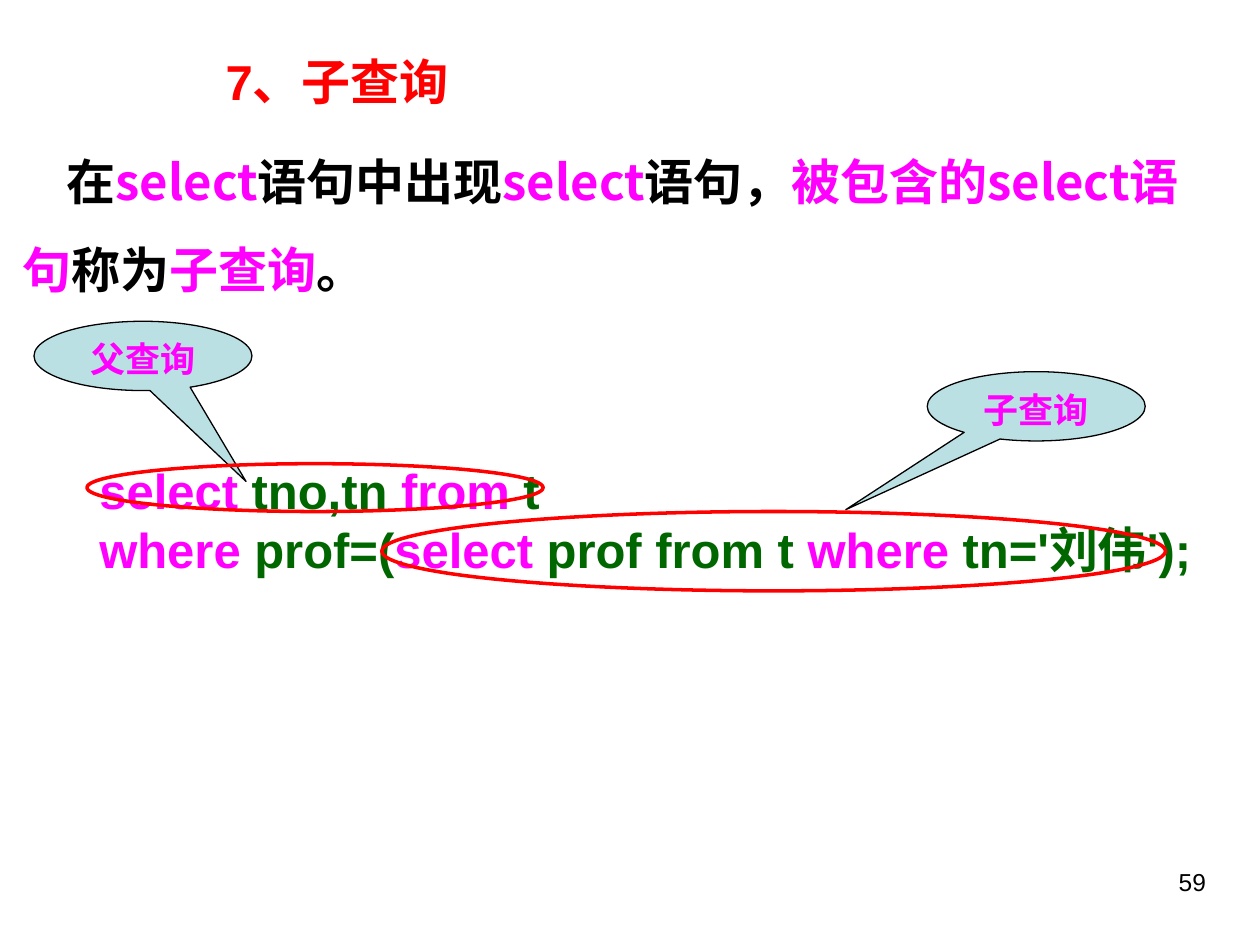
"""Build the slide that introduces SQL subqueries."""
from dataclasses import dataclass

from lxml import etree
from pptx import Presentation
from pptx.dml.color import RGBColor
from pptx.enum.shapes import MSO_SHAPE
from pptx.enum.text import MSO_ANCHOR, MSO_AUTO_SIZE, PP_ALIGN
from pptx.oxml.ns import qn
from pptx.util import Inches, Pt

ELLIPSE, CALLOUT = MSO_SHAPE.OVAL, MSO_SHAPE.OVAL_CALLOUT
LEFT, CENTER, RIGHT = PP_ALIGN.LEFT, PP_ALIGN.CENTER, PP_ALIGN.RIGHT
TOP, MIDDLE = MSO_ANCHOR.TOP, MSO_ANCHOR.MIDDLE


@dataclass(frozen=True)
class Theme:
    """Colours, fonts and type sizes of the slide."""
    black: str = "000000"
    red: str = "FF0000"
    keyword: str = "FF00FF"
    code: str = "006600"
    callout: str = "BBE0E3"
    latin: str = "Arial"
    chinese: str = "Noto Sans CJK SC"
    text_size: int = 28
    label_size: int = 20
    number_size: int = 14


THEME = Theme()
SLIDE_SIZE = (10, 7.5)
CALLOUT_SIZE = (1.73, 0.55)
FIRST_LINE_INDENT = 0.35

TITLE = [[("7、子查询", THEME.red)]]
DEFINITION = [[
    ("在", THEME.black), ("select", THEME.keyword),
    ("语句中出现", THEME.black), ("select", THEME.keyword),
    ("语句，", THEME.black), ("被包含的select语句", THEME.keyword),
    ("称为", THEME.black), ("子查询", THEME.keyword), ("。", THEME.black),
]]
QUERY = [
    [("select", THEME.keyword), (" tno,tn ", THEME.code),
     ("from", THEME.keyword), (" t", THEME.code)],
    [("where", THEME.keyword), (" prof=(", THEME.code),
     ("select", THEME.keyword), (" prof from t ", THEME.code),
     ("where", THEME.keyword), (" tn='刘伟');", THEME.code)],
]
PAGE_NUMBER = [[("59", THEME.black)]]

TITLE_BOX = (1.69, 0.36, 4.1, 0.57)
DEFINITION_BOX = (0.08, 0.92, 9.73, 1.5)
QUERY_BOX = (0.69, 3.6, 9.11, 1.04)
NUMBER_BOX = (7.17, 6.83, 2.5, 0.52)
SUBQUERY_RING = (3.03, 4.06, 6.22, 0.63)
PARENT_RING = (0.69, 3.68, 3.62, 0.38)
CALLOUTS = [
    ("子查询", (7.36, 2.95), (-0.874, 1.491)),
    ("父查询", (0.27, 2.55), (0.473, 1.812)),
]


def inches(box):
    return [Inches(length) for length in box]


def place(shape, box):
    shape.left, shape.top, shape.width, shape.height = inches(box)


def write(shape, lines, size=THEME.text_size, latin=THEME.latin, bold=True,
          align=LEFT, anchor=MIDDLE, spacing=1.0, indent=0):
    frame = shape.text_frame
    frame.word_wrap = True
    frame.auto_size = MSO_AUTO_SIZE.NONE
    frame.vertical_anchor = anchor
    for index, line in enumerate(lines):
        paragraph = frame.add_paragraph() if index else frame.paragraphs[0]
        paragraph.alignment = align
        paragraph.line_spacing = spacing
        paragraph.space_before = Pt(0)
        properties = paragraph._p.get_or_add_pPr()
        properties.set("marL", "0")
        properties.set("indent", str(Inches(indent)))
        etree.SubElement(properties, qn("a:buNone"))
        font = paragraph.font
        font.size, font.bold, font.name = Pt(size), bold, latin
        east_asian = etree.SubElement(properties.find(qn("a:defRPr")), qn("a:ea"))
        east_asian.set("typeface", THEME.chinese)
        for text, color in line:
            run = paragraph.add_run()
            run.text = text
            run.font.color.rgb = RGBColor.from_string(color)


def add_outlined(slide, preset, box, color, width):
    shape = slide.shapes.add_shape(preset, *inches(box))
    shape.shadow.inherit = False
    shape.fill.background()
    shape.line.color.rgb = RGBColor.from_string(color)
    shape.line.width = Pt(width)
    return shape


def add_callout(slide, label, position, pointer):
    shape = add_outlined(slide, CALLOUT, position + CALLOUT_SIZE, THEME.black, 0.75)
    shape.fill.solid()
    shape.fill.fore_color.rgb = RGBColor.from_string(THEME.callout)
    for index, offset in enumerate(pointer):
        shape.adjustments[index] = offset
    write(shape, [[(label, THEME.keyword)]], size=THEME.label_size,
          align=CENTER, anchor=TOP)


def main():
    presentation = Presentation()
    presentation.slide_width, presentation.slide_height = inches(SLIDE_SIZE)
    slide = presentation.slides.add_slide(presentation.slide_layouts[1])

    title, definition = slide.placeholders
    place(title, TITLE_BOX)
    write(title, TITLE)
    place(definition, DEFINITION_BOX)
    write(definition, DEFINITION, latin=THEME.chinese, spacing=1.5,
          indent=FIRST_LINE_INDENT)

    number = slide.shapes.add_textbox(*inches(NUMBER_BOX))
    write(number, PAGE_NUMBER, size=THEME.number_size, bold=False,
          align=RIGHT, anchor=TOP)
    query = slide.shapes.add_textbox(*inches(QUERY_BOX))
    write(query, QUERY)

    add_outlined(slide, ELLIPSE, SUBQUERY_RING, THEME.red, 2)
    for label, position, pointer in CALLOUTS:
        add_callout(slide, label, position, pointer)
    add_outlined(slide, ELLIPSE, PARENT_RING, THEME.red, 2)
    presentation.save("out.pptx")


if __name__ == "__main__":
    main()
